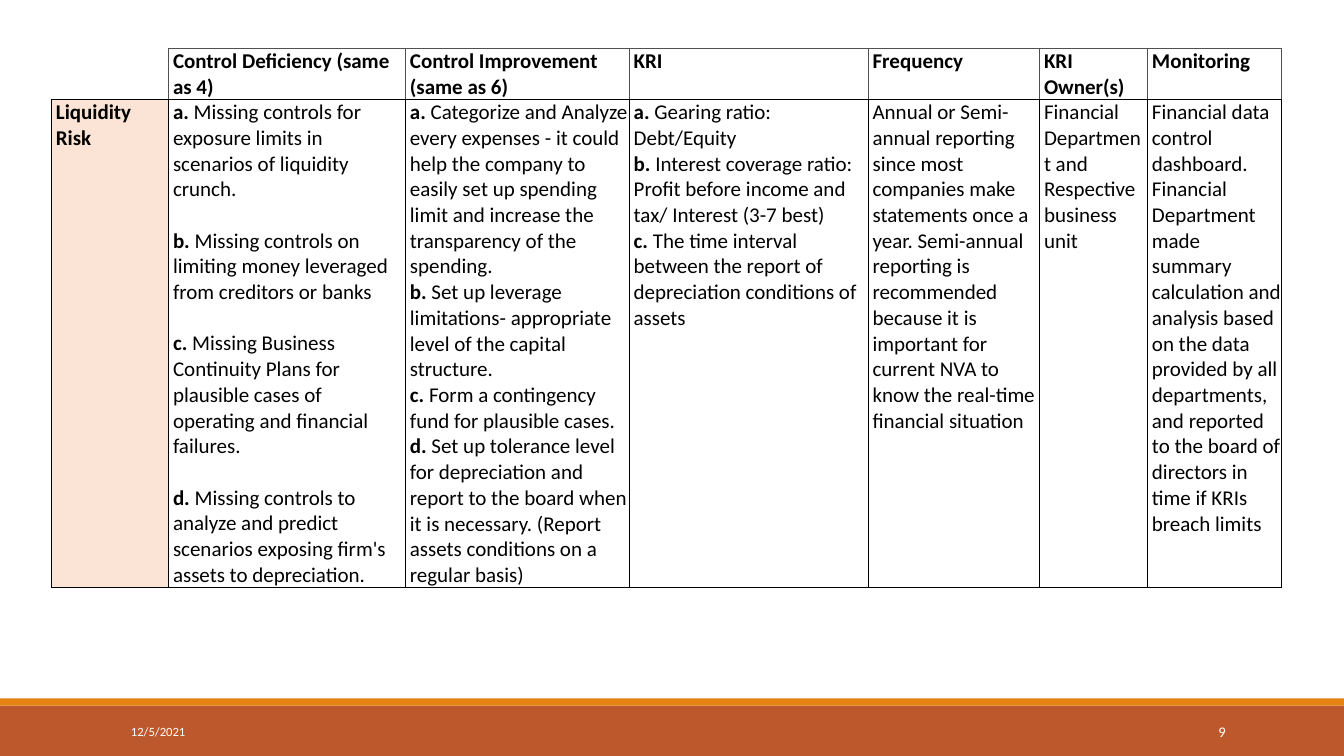
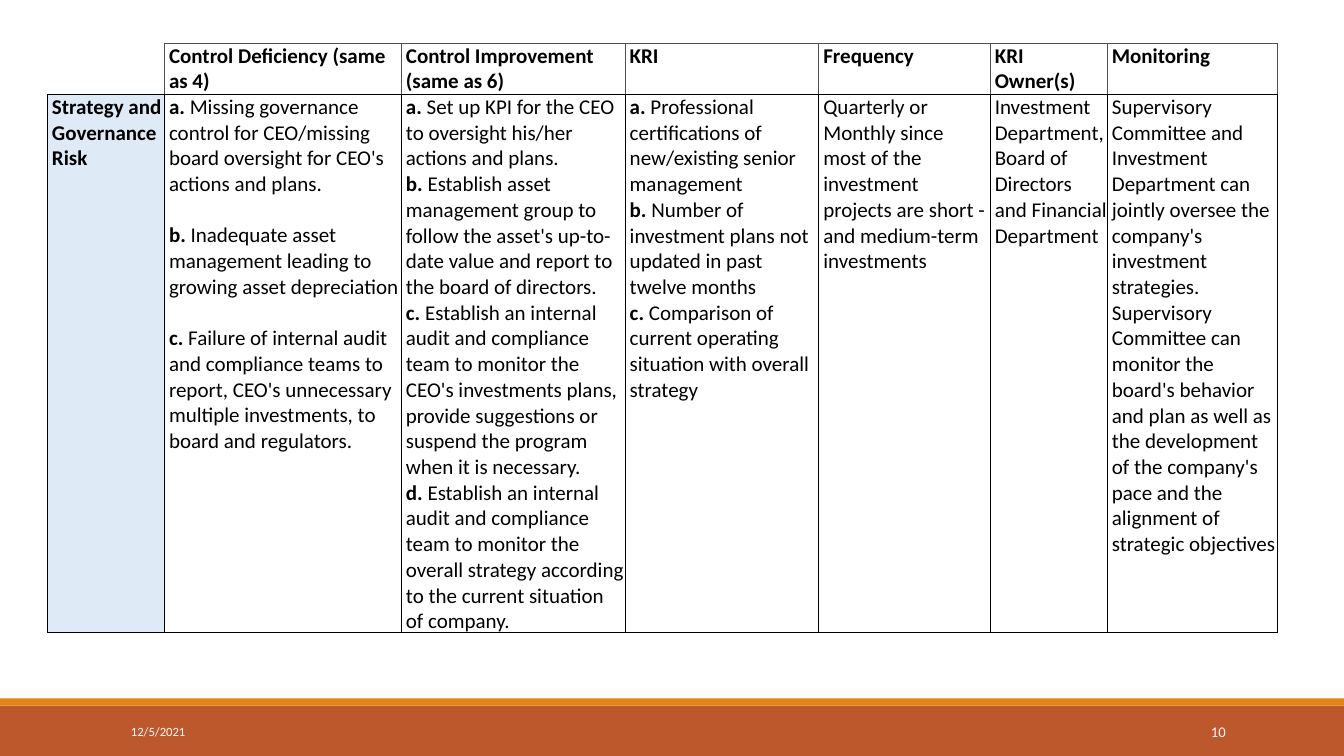
from lxml.etree import SubElement
from pptx import Presentation
from pptx.dml.color import RGBColor
from pptx.enum.shapes import MSO_SHAPE
from pptx.enum.text import MSO_ANCHOR, PP_ALIGN
from pptx.oxml.ns import qn
from pptx.util import Cm, Pt

COLORS = {
    "rust": "BD582C",
    "orange": "E48312",
    "white": "FFFFFF",
    "black": "000000",
    "grey": "505050",
    "peach": "FBE4D5",
    "sky": "DEEAF6",
}
FONT = "Calibri"
WIDE, HIGH = 33.87, 19.05
HEADS = ["", "Control Deficiency (same as 4)", "Control Improvement (same as 6)",
         "KRI", "Frequency", "KRI Owner(s)", "Monitoring"]
GAP_COL = 1

RISKS = [
    {
        "page": 9, "tint": "peach", "left": 1.29, "top": 1.22, "height": 12.3,
        "widths": [2.95, 5.97, 5.64, 6.02, 4.32, 2.72, 3.38],
        "cells": [
            "Liquidity Risk",
            ["a. Missing controls for exposure limits in scenarios of liquidity crunch.",
             "b. Missing controls on limiting money leveraged from creditors or banks",
             "c. Missing Business Continuity Plans for plausible cases of operating "
             "and financial failures.",
             "d. Missing controls to analyze and predict scenarios exposing firm's "
             "assets to depreciation."],
            ["a. Categorize and Analyze every expenses - it could help the company to "
             "easily set up spending limit and increase the transparency of the spending.",
             "b. Set up leverage limitations- appropriate level of the capital structure.",
             "c. Form a contingency fund for plausible cases.",
             "d. Set up tolerance level for depreciation and report to the board when "
             "it is necessary. (Report assets conditions on a regular basis)"],
            ["a. Gearing ratio: Debt/Equity",
             "b. Interest coverage ratio: Profit before income and tax/ Interest (3-7 best)",
             "c. The time interval between the report of depreciation conditions of assets"],
            "Annual or Semi-annual reporting since most companies make statements once "
            "a year. Semi-annual reporting is recommended because it is important for "
            "current NVA to know the real-time financial situation",
            "Financial Department and Respective business unit",
            "Financial data control dashboard. Financial Department made summary "
            "calculation and analysis based on the data provided by all departments, and "
            "reported to the board of directors in time if KRIs breach limits",
        ],
    },
    {
        "page": 10, "tint": "sky", "left": 1.19, "top": 1.09, "height": 13.55,
        "widths": [2.95, 5.97, 5.64, 4.88, 4.32, 2.95, 4.29],
        "cells": [
            "Strategy and Governance Risk",
            ["a. Missing governance control for CEO/missing board oversight for CEO's "
             "actions and plans.",
             "b. Inadequate asset management leading to growing asset depreciation",
             "c. Failure of internal audit and compliance teams to report, CEO's "
             "unnecessary multiple investments, to board and regulators."],
            ["a. Set up KPI for the CEO to oversight his/her actions and plans.",
             "b. Establish asset management group to follow the asset's up-to-date value "
             "and report to the board of directors.",
             "c. Establish an internal audit and compliance team to monitor the CEO's "
             "investments plans, provide suggestions or suspend the program when it is "
             "necessary.",
             "d. Establish an internal audit and compliance team to monitor the overall "
             "strategy according to the current situation of company."],
            ["a. Professional certifications of new/existing senior management",
             "b. Number of investment plans not updated in past twelve months",
             "c. Comparison of current operating situation with overall strategy"],
            "Quarterly or Monthly since most of the investment projects are short - and "
            "medium-term investments",
            "Investment Department, Board of Directors and Financial Department",
            "Supervisory Committee and Investment Department can jointly oversee the "
            "company's investment strategies. Supervisory Committee can monitor the "
            "board's behavior and plan as well as the development of the company's pace "
            "and the alignment of strategic objectives",
        ],
    },
]


def paint(fill, color):
    fill.solid()
    fill.fore_color.rgb = RGBColor.from_string(COLORS[color])


def style(run, size, color, bold=False):
    font = run.font
    font.name, font.size, font.bold = FONT, Pt(size), bold
    font.color.rgb = RGBColor.from_string(COLORS[color])


def add_bands(slide, layout):
    """Draw the footer bands and move them to the layout, which all slides share."""
    for color, top, height in (("rust", 17.78, 1.27), ("orange", 17.6, 0.18)):
        band = slide.shapes.add_shape(
            MSO_SHAPE.RECTANGLE, 0, Cm(top), Cm(WIDE), Cm(height))
        band.shadow.inherit = False
        paint(band.fill, color)
        band.line.fill.background()
        layout.element.cSld.spTree.append(band.element)


def add_note(slide, text, left, width, size, align):
    box = slide.shapes.add_textbox(Cm(left), Cm(17.93), Cm(width), Cm(1.02))
    frame = box.text_frame
    frame.word_wrap = True
    frame.vertical_anchor = MSO_ANCHOR.MIDDLE
    frame.text = text
    frame.paragraphs[0].alignment = align
    style(frame.paragraphs[0].runs[0], size, "white")


def add_footer(slide, page):
    add_note(slide, "12/5/2021", 3.05, 6.86, 9, PP_ALIGN.LEFT)
    add_note(slide, str(page), 27.51, 3.63, 10.5, PP_ALIGN.RIGHT)


def set_edges(cell, edges):
    """Set the four borders from a dict of side to colour; None hides a side."""
    props = cell._tc.get_or_add_tcPr()
    for side in "LRTB":
        line = SubElement(props, qn(f"a:ln{side}"), w=str(Pt(0.5)))
        color = edges[side]
        if color:
            solid = SubElement(line, qn("a:solidFill"))
            SubElement(solid, qn("a:srgbClr"), val=COLORS[color])
        else:
            SubElement(line, qn("a:noFill"))


def fill_text(cell, text, bold):
    cell.text = text
    for run in cell.text_frame.paragraphs[0].runs:
        style(run, 15, "black", bold)


def fill_list(cell, items, gap):
    """Write one paragraph per item, with its leading letter in bold."""
    frame = cell.text_frame
    for i, item in enumerate(items):
        para = frame.add_paragraph() if i else frame.paragraphs[0]
        para.space_before = Pt(gap if i else 0)
        mark, _, rest = item.partition(" ")
        for part, bold in ((mark, True), (" " + rest, False)):
            run = para.add_run()
            run.text = part
            style(run, 15, "black", bold)


def get_edges(row, col):
    if row:
        return dict.fromkeys("LRTB", "black")
    outer = "grey" if col else None
    return {"L": outer, "R": "grey", "T": outer, "B": "black"}


def add_grid(slide, risk):
    widths = risk["widths"]
    heights = [1.29, risk["height"]]
    grid = slide.shapes.add_table(
        2, len(widths), Cm(risk["left"]), Cm(risk["top"]),
        Cm(sum(widths)), Cm(sum(heights))).table
    grid.first_row = grid.horz_banding = False
    for col, width in zip(grid.columns, widths):
        col.width = Cm(width)
    for row, height in zip(grid.rows, heights):
        row.height = Cm(height)
    for r, texts in enumerate((HEADS, risk["cells"])):
        for c, text in enumerate(texts):
            cell = grid.cell(r, c)
            cell.margin_left = Cm(0.12)
            cell.margin_right = cell.margin_top = cell.margin_bottom = 0
            set_edges(cell, get_edges(r, c))
            if r and not c:
                paint(cell.fill, risk["tint"])
            else:
                cell.fill.background()
            if isinstance(text, list):
                fill_list(cell, text, 18.3 if c == GAP_COL else 0)
            else:
                fill_text(cell, text, r == 0 or c == 0)


def main():
    prs = Presentation()
    prs.slide_width, prs.slide_height = Cm(WIDE), Cm(HIGH)
    layout = prs.slide_layouts[6]
    for i, risk in enumerate(RISKS):
        slide = prs.slides.add_slide(layout)
        if i == 0:
            add_bands(slide, layout)
        add_footer(slide, risk["page"])
        add_grid(slide, risk)
    prs.save("out.pptx")


if __name__ == "__main__":
    main()
